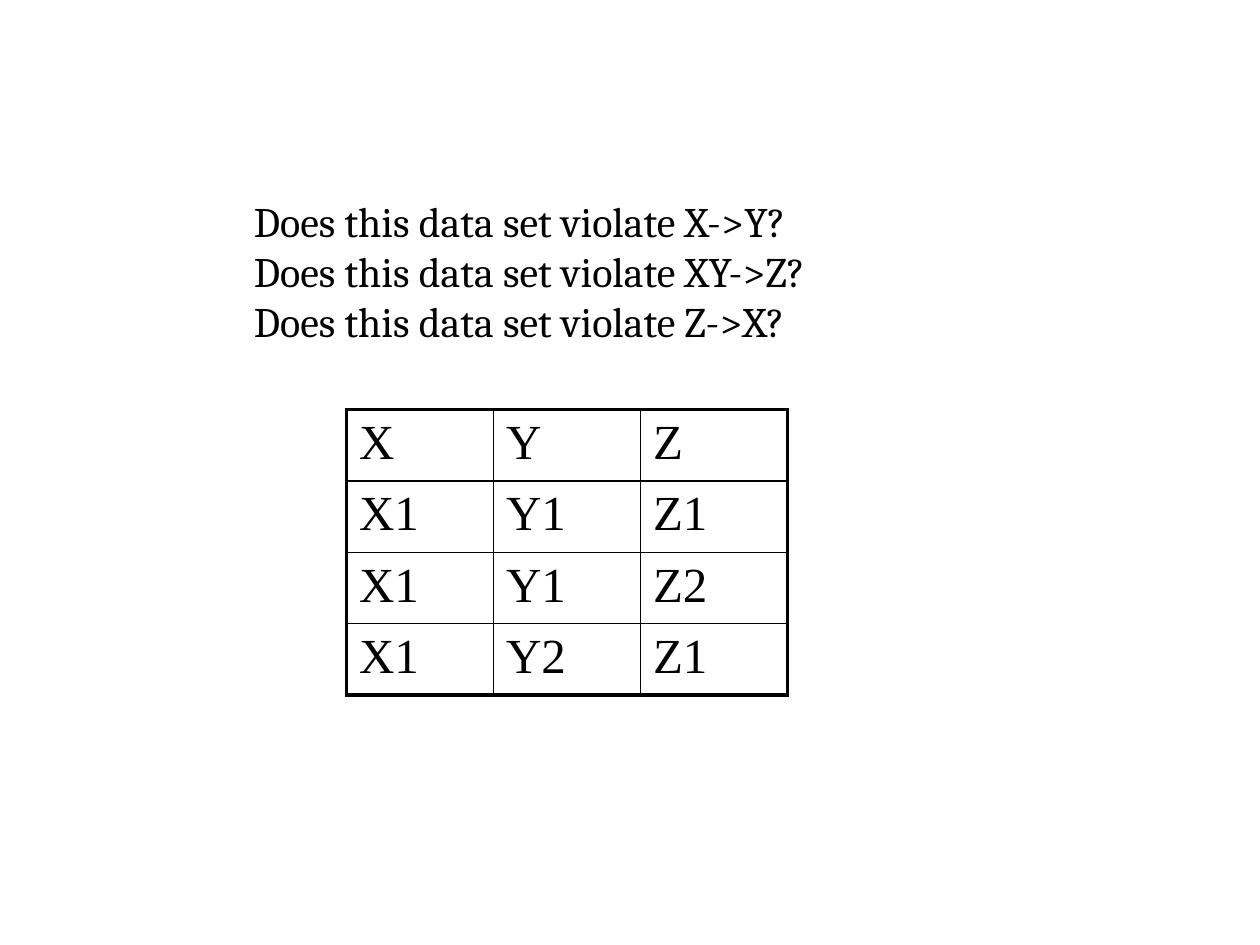
"""Build a slide asking which functional dependencies a data set violates."""
from lxml.etree import SubElement
from pptx import Presentation
from pptx.dml.color import RGBColor
from pptx.enum.text import MSO_AUTO_SIZE as AutoSize
from pptx.oxml.ns import qn
from pptx.util import Pt

BLACK = RGBColor(0, 0, 0)
THICK, THIN = Pt(2.25), Pt(1)
QUESTIONS = [f"Does this data set violate {d}?" for d in ("X->Y", "XY->Z", "Z->X")]
DATA = [
    ("X", "Y", "Z"),
    ("X1", "Y1", "Z1"),
    ("X1", "Y1", "Z2"),
    ("X1", "Y2", "Z1"),
]


def add_run(p, text, font, size):
    r = p.add_run()
    r.text = text
    r.font.name = font
    r.font.size = Pt(size)
    r.font.color.rgb = BLACK


def add_border(cell, side, width):
    ln = SubElement(cell._tc.get_or_add_tcPr(), qn(f"a:{side}"), w=str(int(width)))
    fill = SubElement(ln, qn("a:solidFill"))
    SubElement(fill, qn("a:srgbClr"), val=str(BLACK))


def add_questions(s):
    sp = s.shapes.add_textbox(Pt(138), Pt(108), Pt(414), Pt(94))
    tf = sp.text_frame
    tf.word_wrap = True
    tf.auto_size = AutoSize.SHAPE_TO_FIT_TEXT
    for i, question in enumerate(QUESTIONS):
        p = tf.add_paragraph() if i else tf.paragraphs[0]
        add_run(p, question, "Cambria", 24)


def add_data_table(s):
    n_rows, n_cols = len(DATA), len(DATA[0])
    frame = s.shapes.add_table(n_rows, n_cols, Pt(198), Pt(234), Pt(252), Pt(163.2))
    table = frame.table
    table.first_row = table.horz_banding = False
    for row in table.rows:
        row.height = Pt(40.8)
    for i, values in enumerate(DATA):
        for j, value in enumerate(values):
            cell = table.cell(i, j)
            add_run(cell.text_frame.paragraphs[0], value, "Times New Roman", 28)
            outer = {"lnL": j == 0, "lnR": j == n_cols - 1,
                     "lnT": i == 0, "lnB": i == n_rows - 1}
            for side, is_outer in outer.items():
                add_border(cell, side, THICK if is_outer else THIN)
            cell.fill.background()


def main():
    prs = Presentation()
    prs.slide_width, prs.slide_height = Pt(720), Pt(540)
    s = prs.slides.add_slide(prs.slide_layouts[6])
    add_data_table(s)
    add_questions(s)
    prs.save("out.pptx")


main()
